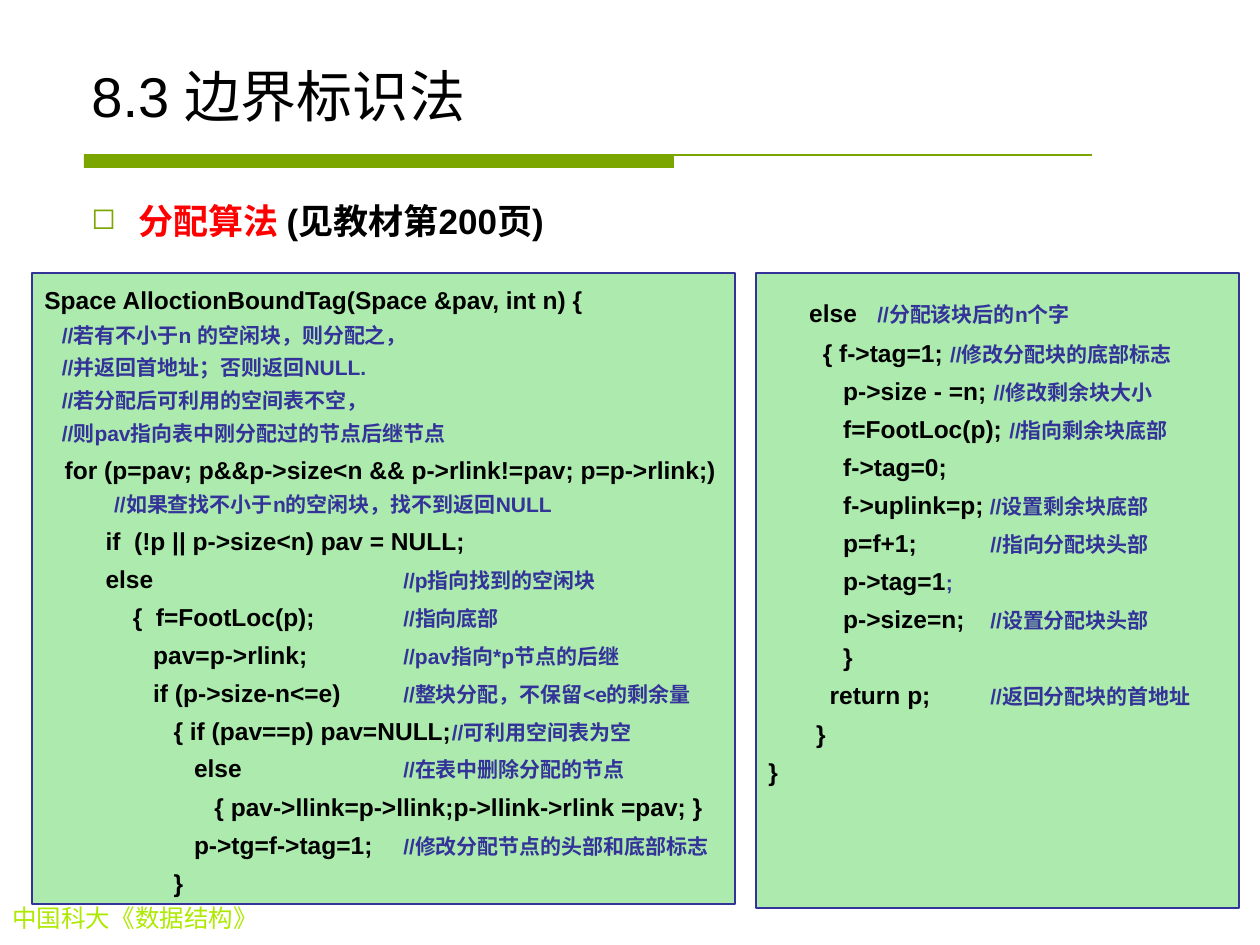
from dataclasses import dataclass
from lxml import etree
from pptx import Presentation
from pptx import util as u
from pptx.dml.color import RGBColor
from pptx.enum import shapes, text
from pptx.oxml import ns

PX = 914400 / 126


def emu(px):
    return u.Emu(round(px * PX))


def node(parent, tag, **attrs):
    return etree.SubElement(parent, ns.qn(tag), {k: str(v) for k, v in attrs.items()})


@dataclass(frozen=True)
class Theme:
    black: str = "000000"
    red: str = "FF0000"
    green: str = "7BA600"
    lime: str = "ADEA00"
    panel: str = "33CC33"
    navy: str = "333399"
    sans: str = "Arial"
    serif: str = "Times New Roman"
    title: int = 32
    lead: int = 20
    code: int = 14
    note: int = 12


class Deck:
    def __init__(self, theme, slide):
        self.theme, self.slide = theme, slide

    def run(self, para, words, size, color, bold=False, face=None):
        run = para.add_run()
        run.text = words
        look = {"name": face or self.theme.sans, "size": u.Pt(size), "bold": bold}
        for key, value in look.items():
            setattr(run.font, key, value)
        run.font.color.rgb = RGBColor.from_string(color)

    def space(self, para, before):
        look = {"line_spacing": 1.2, "space_before": u.Pt(before)}
        for key, value in look.items():
            setattr(para, key, value)

    def frame(self, shape, anchor=text.MSO_ANCHOR.TOP):
        frame = shape.text_frame
        look = {"word_wrap": True, "vertical_anchor": anchor}
        for key, value in look.items():
            setattr(frame, key, value)
        return frame

    def label(self, box, anchor=text.MSO_ANCHOR.TOP):
        """Add a text box and return its first paragraph."""
        shape = self.slide.shapes.add_textbox(*map(emu, box))
        return self.frame(shape, anchor).paragraphs[0]

    def bullet(self, para, mark, indent):
        props = para._p.get_or_add_pPr()
        props.set("marL", str(emu(indent)))
        props.set("indent", str(-emu(indent)))
        node(node(props, "a:buClr"), "a:srgbClr", val=self.theme.green)
        node(props, "a:buSzPct", val=85000)
        node(props, "a:buChar", char=mark)

    def tabs(self, para, stops):
        tabs = node(para._p.get_or_add_pPr(), "a:tabLst")
        for stop in stops:
            node(tabs, "a:tab", pos=emu(stop), algn="l")

    def rect(self, box, fill, line=None):
        shape = self.slide.shapes.add_shape(shapes.MSO_SHAPE.RECTANGLE, *map(emu, box))
        shape.shadow.inherit = False
        shape.fill.solid()
        shape.fill.fore_color.rgb = RGBColor.from_string(fill)
        if line:
            shape.line.color.rgb = RGBColor.from_string(line)
            shape.line.width = u.Pt(0.75)
        else:
            shape.line.fill.background()
        return shape

    def rule(self, start, end, color):
        line = self.slide.shapes.add_connector(
            shapes.MSO_CONNECTOR.STRAIGHT, *map(emu, start + end))
        line.line.color.rgb = RGBColor.from_string(color)
        line.line.width = u.Pt(0.75)
        node(line._element.spPr, "a:effectLst")

    def listing(self, box, rows, stops):
        """Draw a code panel; a row is code, comment and an optional large gap."""
        t = self.theme
        shape = self.rect(box, t.panel, t.navy)
        color = shape._element.spPr.find(ns.qn("a:solidFill"))[0]
        node(color, "a:alpha", val=40000)
        frame = self.frame(shape)
        for i, (code, note, *gap) in enumerate(rows):
            para = frame.add_paragraph() if i else frame.paragraphs[0]
            para.alignment = text.PP_ALIGN.LEFT
            self.space(para, 0 if not i else 1.5 if note else 1.8)
            self.tabs(para, stops)
            parts = [(code, t.code, t.black)]
            parts += [(g, t.lead, t.black) for g in gap]
            parts.append((note, t.note, t.navy))
            for words, size, color in parts:
                if words:
                    self.run(para, words, size, color, True)


LEFT = [
    ("Space AlloctionBoundTag(Space &pav, int n) {", ""),
    ("", "   //若有不小于n 的空闲块，则分配之，"),
    ("", "   //并返回首地址；否则返回NULL."),
    ("", "   //若分配后可利用的空间表不空，"),
    ("", "   //则pav指向表中刚分配过的节点后继节点"),
    ("   for (p=pav; p&&p->size<n && p->rlink!=pav; p=p->rlink;)", ""),
    ("", "            //如果查找不小于n的空闲块，找不到返回NULL"),
    ("         if  (!p || p->size<n) pav = NULL;", ""),
    ("         else\t", "//p指向找到的空闲块"),
    ("             {  f=FootLoc(p);\t", "//指向底部"),
    ("                pav=p->rlink;\t", "//pav指向*p节点的后继"),
    ("                if (p->size-n<=e)\t", "//整块分配，不保留<e的剩余量"),
    ("                   { if (pav==p) pav=NULL;", "//可利用空间表为空"),
    ("                      else\t", "//在表中删除分配的节点"),
    ("                         { pav->llink=p->llink;p->llink->rlink =pav; }", ""),
    ("                      p->tg=f->tag=1;\t", "//修改分配节点的头部和底部标志"),
    ("                   }", ""),
]
RIGHT = [
    ("      else", "//分配该块后的n个字", "\t"),
    ("        { f->tag=1; ", "//修改分配块的底部标志"),
    ("           p->size - =n; ", "//修改剩余块大小"),
    ("           f=FootLoc(p); ", "//指向剩余块底部"),
    ("           f->tag=0;", ""),
    ("           f->uplink=p;", " //设置剩余块底部"),
    ("           p=f+1;\t", "//指向分配块头部"),
    ("           p->tag=1", ";"),
    ("           p->size=n;\t", "//设置分配块头部"),
    ("           }", ""),
    ("         return p;\t", "//返回分配块的首地址"),
    ("       }", ""),
    ("}", ""),
]


def main():
    show = Presentation()
    show.slide_width, show.slide_height = emu(1260), emu(945)
    t = Theme()
    deck = Deck(t, show.slides.add_slide(show.slide_layouts[6]))

    deck.rect((84, 155, 590, 13), t.green)
    deck.rule((84, 155), (1092, 155), t.green)
    deck.run(deck.label((0, 897, 392, 43)), "中国科大《数据结构》",
             t.code, t.lime, face=t.serif)
    deck.run(deck.label((79, 42, 1103, 93), text.MSO_ANCHOR.BOTTOM),
             "8.3 边界标识法", t.title, t.black)

    lead = deck.label((79, 185, 1103, 88))
    deck.space(lead, 0)
    deck.bullet(lead, "◻", 47)
    deck.run(lead, "分配算法 ", t.lead, t.red, True)
    deck.run(lead, "(见教材第200页)", t.lead, t.black, True)

    deck.listing((32, 273, 703, 631), LEFT, [359])
    deck.listing((756, 273, 483, 635), RIGHT, [109, 222])
    show.save("out.pptx")


if __name__ == "__main__":
    main()
